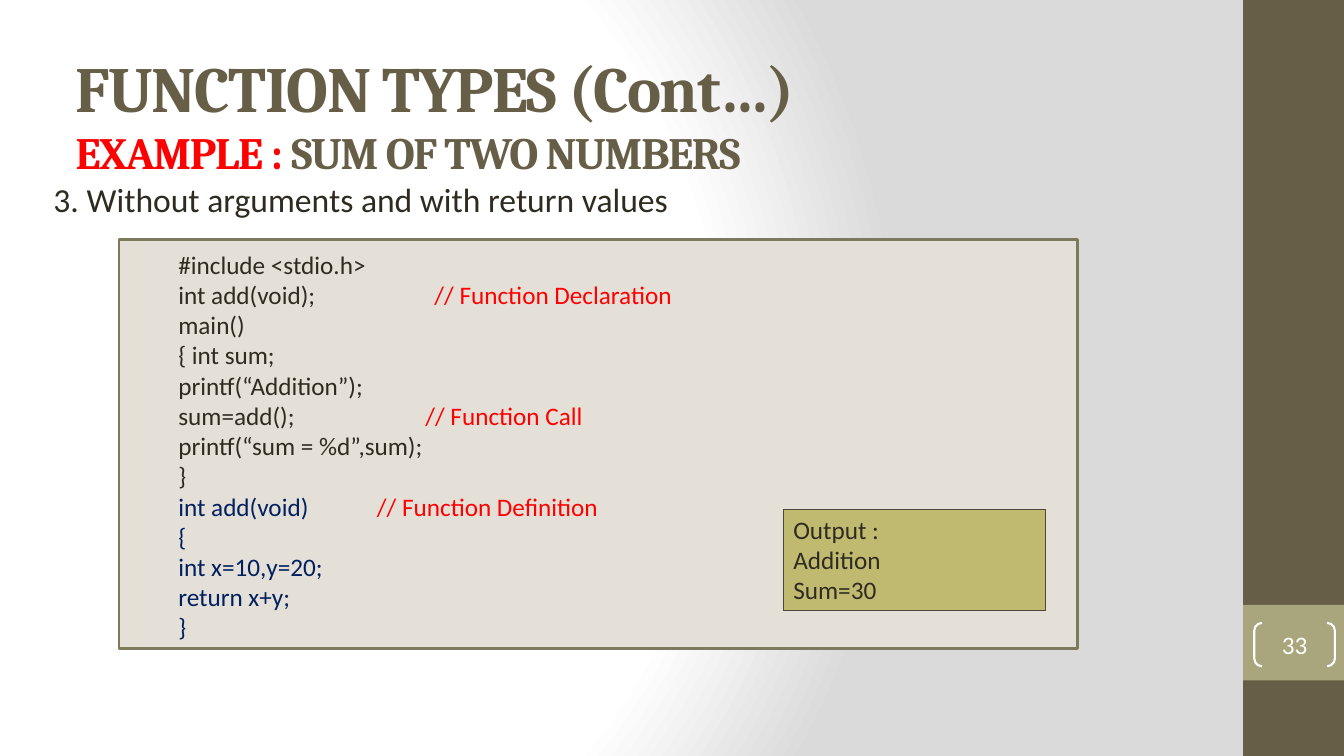
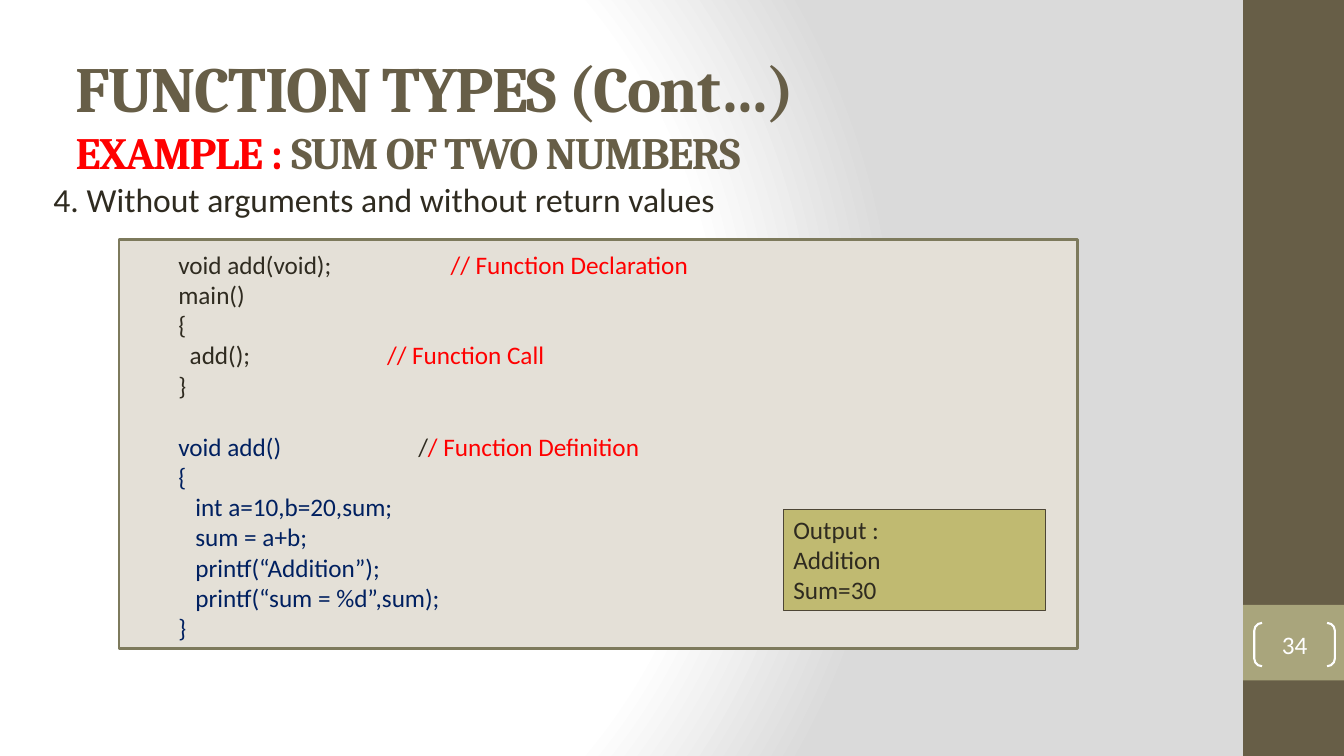
from pptx import Presentation
from pptx import util as u
from pptx.dml.color import RGBColor
from pptx.enum import shapes, text
from pptx.oxml import parse_xml
from pptx.oxml.ns import nsdecls
from lxml import etree

PX = 9144  # 100 px to the inch
SLIDE_W, SLIDE_H = 1333, 750
HEADING_FONT, BODY_FONT = "Cambria", "Calibri"

BROWN = RGBColor(0x67, 0x5E, 0x47)
OLIVE = RGBColor(0xA9, 0xA5, 0x7C)
RED = RGBColor(0xFF, 0x00, 0x00)
INK = RGBColor(0x2F, 0x2B, 0x20)
NAVY = RGBColor(0x00, 0x20, 0x60)
WHITE = RGBColor(0xFF, 0xFF, 0xFF)
PANEL_FILL = RGBColor(0xE4, 0xE0, 0xD7)
PANEL_EDGE = RGBColor(0x7D, 0x7A, 0x5C)
OUTPUT_FILL = RGBColor(0xC0, 0xBA, 0x71)
OUTPUT_EDGE = RGBColor(0x4D, 0x46, 0x35)

BACKDROP = f"""<a:gradFill {nsdecls('a')} rotWithShape="1"><a:gsLst>
<a:gs pos="0"><a:srgbClr val="FFFFFF"/></a:gs>
<a:gs pos="75000"><a:srgbClr val="FFFFFF"/></a:gs>
<a:gs pos="100000"><a:srgbClr val="DADADA"/></a:gs></a:gsLst>
<a:path path="circle"><a:fillToRect l="20000" t="50000" r="100000" b="50000"/></a:path>
</a:gradFill>"""

# Each code line: code, colour, then optionally the tab stop, the comment runs
# and the space before in points
DECLARATION = [("// Function Declaration", RED)]
CALL = [("// Function Call", RED)]
DEFINITION = [("// Function Definition", RED)]
SPLIT_DEFINITION = [("/", INK), ("/ Function Definition", RED)]

EXAMPLES = [
    dict(
        number=3, page="33", topic="Without arguments and with return values",
        code=[
            ("#include <stdio.h>", INK),
            ("int add(void);", INK, 254, DECLARATION),
            ("main()", INK),
            ("{ int sum;", INK),
            ("printf(“Addition”);", INK),
            ("sum=add();", INK, 245, CALL),
            ("printf(“sum = %d”,sum);", INK),
            ("}", INK),
            ("int add(void)", NAVY, 197, DEFINITION),
            ("{", NAVY),
            ("int x=10,y=20;", NAVY),
            ("return x+y;", NAVY),
            ("}", NAVY),
        ],
    ),
    dict(
        number=4, page="34", topic="Without arguments and without return values",
        code=[
            ("void add(void);", INK, 270, DECLARATION),
            ("main()", INK),
            ("{", INK),
            ("  add();", INK, 207, CALL),
            ("}", INK),
            ("void add()", NAVY, 238, SPLIT_DEFINITION, 22),
            ("{", NAVY),
            ("   int a=10,b=20,sum;", NAVY),
            ("   sum = a+b;", NAVY),
            ("   printf(“Addition”);", NAVY),
            ("   printf(“sum = %d”,sum);", NAVY),
            ("}", NAVY),
        ],
    ),
]
OUTPUT = ["Output :", "Addition", "Sum=30"]


def px(*lengths):
    return [u.Emu(length * PX) for length in lengths]


def write(paragraph, content, size=18, color=INK, font=BODY_FONT, bold=False, spacing=0):
    run = paragraph.add_run()
    run.text = content
    run.font.size = u.Pt(size)
    run.font.name = font
    run.font.bold = bold
    run.font.color.rgb = color
    if spacing:
        run.font._element.set("spc", str(spacing))


def paragraphs(frame, count):
    return [frame.paragraphs[0]] + [frame.add_paragraph() for _ in range(count - 1)]


def add_property(paragraph, tag, **attributes):
    properties = paragraph._p.get_or_add_pPr()
    child = parse_xml(f"<a:{tag} {nsdecls('a')}/>")
    for key, value in attributes.items():
        child.set(key, str(value))
    properties.append(child)
    return child


def add_box(slide, box, fill=None, edge=None, weight=1, kind=shapes.MSO_SHAPE.RECTANGLE):
    shape = slide.shapes.add_shape(kind, *px(*box))
    shape.shadow.inherit = False
    if fill is None:
        shape.fill.background()
    else:
        shape.fill.solid()
        shape.fill.fore_color.rgb = fill
    if edge is None:
        shape.line.fill.background()
    else:
        shape.line.color.rgb = edge
        shape.line.width = u.Pt(weight)
    return shape


def place(placeholder, box, anchor):
    placeholder.left, placeholder.top, placeholder.width, placeholder.height = px(*box)
    frame = placeholder.text_frame
    frame.auto_size = text.MSO_AUTO_SIZE.NONE
    frame.vertical_anchor = anchor
    return frame.paragraphs[0]


def style_master(master, slide):
    """Give every slide the gradient backdrop and the right-hand bands."""
    fill = master.background.fill
    fill.solid()
    solid = master.element.find(".//{*}bgPr/{*}solidFill")
    solid.getparent().replace(solid, parse_xml(BACKDROP))
    bands = [((1233, 0, 100, SLIDE_H), BROWN), ((1233, 600, 100, 75), OLIVE)]
    for position, (box, color) in enumerate(bands, start=2):
        master.shapes.element.insert(position, add_box(slide, box, color).element)


def heading(slide, box):
    title = place(slide.shapes.title, box, text.MSO_ANCHOR.MIDDLE)
    title.alignment = text.PP_ALIGN.LEFT
    look = dict(font=HEADING_FONT, bold=True, spacing=-100)
    write(title, "FUNCTION TYPES (Cont…)", size=46, color=BROWN, **look)
    title.add_line_break()
    write(title, "EXAMPLE :", size=32, color=RED, **look)
    write(title, " SUM OF TWO NUMBERS", size=32, color=BROWN, **look)


def topic_item(slide, box, number, topic):
    item = place(slide.placeholders[1], box, text.MSO_ANCHOR.TOP)
    properties = item._p.get_or_add_pPr()
    properties.set("marL", str(33 * PX))
    properties.set("indent", str(-33 * PX))
    add_property(item, "buFont", typeface=BODY_FONT)
    add_property(item, "buAutoNum", type="arabicPeriod", startAt=number)
    item.space_before = u.Pt(0)
    write(item, topic, size=24)


def code_line(paragraph, code, color, tab=None, comment=(), space=0):
    if tab:
        stops = add_property(paragraph, "tabLst")
        etree.SubElement(stops, stops.tag.replace("tabLst", "tab"), pos=str(tab * PX), algn="l")
    paragraph.space_before = u.Pt(space)
    write(paragraph, code + ("\t" if tab else ""), color=color)
    for part, part_color in comment:
        write(paragraph, part, color=part_color)


def code_panel(slide, box, code):
    left, top, width, height = box
    add_box(slide, box, PANEL_FILL, PANEL_EDGE, 2)
    listing = slide.shapes.add_textbox(*px(left + 49, top + 4, 662, height - 4)).text_frame
    listing.word_wrap = True
    for paragraph, line in zip(paragraphs(listing, len(code)), code):
        code_line(paragraph, *line)
    output_box(slide, (left + 659, top + 267, 260, 101))


def output_box(slide, box):
    frame = add_box(slide, box, OUTPUT_FILL, OUTPUT_EDGE, 0.75).text_frame
    frame.word_wrap = True
    frame.vertical_anchor = text.MSO_ANCHOR.TOP
    for paragraph, line in zip(paragraphs(frame, len(OUTPUT)), OUTPUT):
        paragraph.alignment = text.PP_ALIGN.LEFT
        write(paragraph, line)


def page_number(slide, box, page):
    bracket = add_box(slide, box, edge=WHITE, weight=1.5, kind=shapes.MSO_SHAPE.DOUBLE_BRACKET)
    bracket.adjustments[0] = 0.18
    frame = bracket.text_frame
    frame.margin_left = frame.margin_right = frame.margin_top = frame.margin_bottom = 0
    frame.vertical_anchor = text.MSO_ANCHOR.MIDDLE
    frame.paragraphs[0].alignment = text.PP_ALIGN.CENTER
    write(frame.paragraphs[0], page, color=WHITE)


def example_slide(slide, number, page, topic, code):
    heading(slide, (65, 40, 1131, 145))
    topic_item(slide, (43, 172, 1131, 503), number, topic)
    page_number(slide, (1244, 618, 80, 43), page)
    code_panel(slide, (118, 238, 951, 405), code)


def main():
    deck = Presentation()
    deck.slide_width, deck.slide_height = px(SLIDE_W, SLIDE_H)
    slides = [deck.slides.add_slide(deck.slide_layouts[1]) for _ in EXAMPLES]
    style_master(deck.slide_master, slides[0])
    for slide, example in zip(slides, EXAMPLES):
        example_slide(slide, **example)
    deck.save("out.pptx")


if __name__ == "__main__":
    main()
